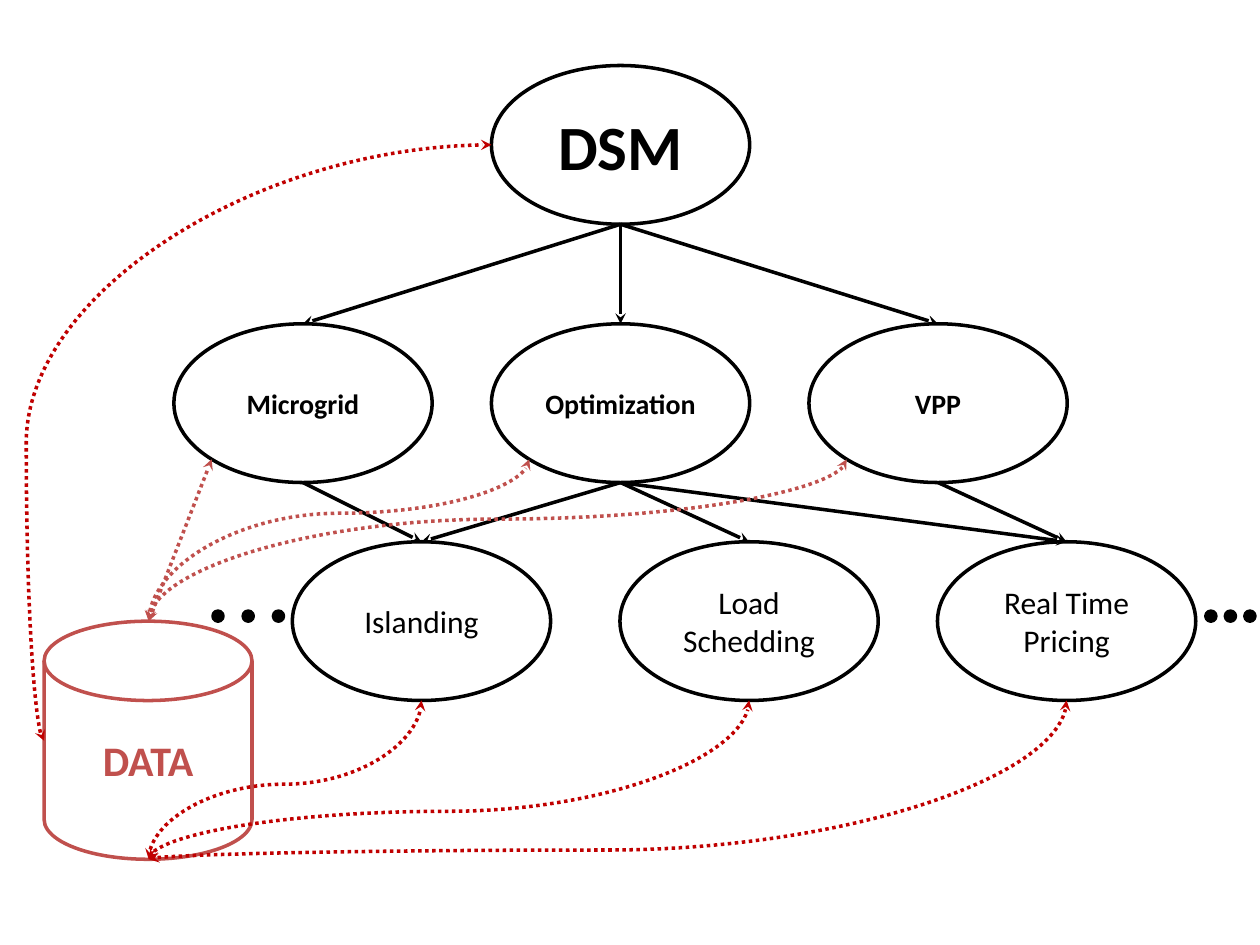
from math import sqrt

from lxml.etree import SubElement
from pptx import Presentation
from pptx.dml.color import RGBColor
from pptx.enum.dml import MSO_LINE
from pptx.enum.shapes import MSO_CONNECTOR as Link, MSO_SHAPE as Shape
from pptx.enum.text import MSO_ANCHOR, PP_ALIGN
from pptx.oxml.ns import qn
from pptx.util import Inches, Pt

COLORS = {"ink": "000000", "paper": "FFFFFF", "data": "C0504D", "flow": "C00000"}
NODE_W, NODE_H = 2.05, 1.26


def color(name):
    return RGBColor.from_string(COLORS[name])


class Node:
    """Connection points of an ellipse."""

    def __init__(self, left, top):
        middle = left + NODE_W / 2
        inset = (1 - 1 / sqrt(2)) / 2
        self.top = (middle, top)
        self.bottom = (middle, top + NODE_H)
        self.left = (left, top + NODE_H / 2)
        self.lower_left = (left + NODE_W * inset, top + NODE_H * (1 - inset))


class Diagram:
    font = "Calibri"
    line_width = Pt(2)

    def __init__(self, page):
        self.page = page

    def shape(self, kind, left, top, width, height, line="ink", fill=None):
        box = self.page.shapes.add_shape(
            kind, Inches(left), Inches(top), Inches(width), Inches(height))
        box.shadow.inherit = False
        if fill:
            box.fill.solid()
            box.fill.fore_color.rgb = color(fill)
        else:
            box.fill.background()
        box.line.color.rgb = color(line)
        box.line.width = self.line_width
        return box

    def label(self, box, text, size, bold, ink="ink"):
        frame = box.text_frame
        frame.word_wrap = True
        frame.vertical_anchor = MSO_ANCHOR.MIDDLE
        para = frame.paragraphs[0]
        para.alignment = PP_ALIGN.CENTER
        span = para.add_run()
        span.text = text
        span.font.name = self.font
        span.font.size = Pt(size)
        span.font.bold = bold
        span.font.color.rgb = color(ink)

    def node(self, text, left, top, size, bold):
        box = self.shape(Shape.OVAL, left, top, NODE_W, NODE_H, fill="paper")
        self.label(box, text, size, bold)
        return Node(left, top)

    def arrow(self, start, end, ink="ink", kind=Link.STRAIGHT, two_way=False):
        link = self.page.shapes.add_connector(
            kind, *(Inches(value) for value in (*start, *end)))
        link.line.color.rgb = color(ink)
        link.line.width = self.line_width
        if two_way:
            link.line.dash_style = MSO_LINE.ROUND_DOT
        properties = link.element.spPr
        outline = properties.find(qn("a:ln"))
        for tip in ("a:headEnd", "a:tailEnd") if two_way else ("a:tailEnd",):
            SubElement(outline, qn(tip), type="stealth")
        SubElement(properties, qn("a:effectLst"))
        return link

    def curve(self, start, end, bend, ink, upright=True):
        """Draw a two-way dotted curve; upright ones leave vertically."""
        if upright:
            # A quarter turn swaps width and height about the centre
            x, y = ((a + b) / 2 for a, b in zip(start, end))
            half_w = abs(end[1] - start[1]) / 2
            half_h = abs(end[0] - start[0]) / 2
            start, end = (x + half_w, y + half_h), (x - half_w, y - half_h)
        link = self.arrow(start, end, ink, Link.CURVE, two_way=True)
        properties = link.element.spPr
        if upright:
            properties.find(qn("a:xfrm")).set("rot", str(90 * 60000))
        guides = properties.find(qn("a:prstGeom")).find(qn("a:avLst"))
        SubElement(guides, qn("a:gd"), name="adj1", fmla=f"val {round(bend * 100000)}")


deck = Presentation()
deck.slide_width, deck.slide_height = Inches(10), Inches(7.5)
diagram = Diagram(deck.slides.add_slide(deck.slide_layouts[6]))

# Hierarchy of nodes
dsm = diagram.node("DSM", 3.9, 0.52, 36, True)
microgrid, optimization, vpp = [
    diagram.node(text, 1.38 + 2.52 * column, 2.57, 16, True)
    for column, text in enumerate(("Microgrid", "Optimization", "VPP"))]
islanding, load, pricing = [
    diagram.node(text, left, 4.3, 18, False)
    for text, left in (("Islanding", 2.32), ("Load Schedding", 4.92),
                       ("Real Time Pricing", 7.44))]

# Arrows down the hierarchy
for parent, children in (
        (dsm, (microgrid, optimization, vpp)),
        (microgrid, (islanding,)),
        (optimization, (islanding, load, pricing)),
        (vpp, (pricing,))):
    for child in children:
        diagram.arrow(parent.bottom, child.top)

# Data store
store = diagram.shape(Shape.FLOWCHART_MAGNETIC_DISK, 0.35, 4.93, 1.65, 1.89, line="data")
diagram.label(store, "DATA", 24, True, "data")
store_top, store_bottom, store_left = (1.18, 4.93), (1.18, 6.82), (0.35, 5.88)

# Data exchange
diagram.arrow(store_top, microgrid.lower_left, "data", two_way=True)
for target, bend in ((optimization, 0.667), (vpp, 0.631)):
    diagram.curve(store_top, target.lower_left, bend, "data")
for target, bend in ((islanding, 0.473), (load, 0.302), (pricing, 0.058)):
    diagram.curve(store_bottom, target.bottom, bend, "flow")
diagram.curve(store_left, dsm.left, -0.04, "flow", upright=False)

# Dots for further nodes on both sides
for first, step in ((1.69, 0.24), (9.57, 0.155)):
    for index in range(3):
        diagram.shape(Shape.OVAL, first + step * index, 4.85, 0.08, 0.08, fill="ink")

deck.save("out.pptx")
